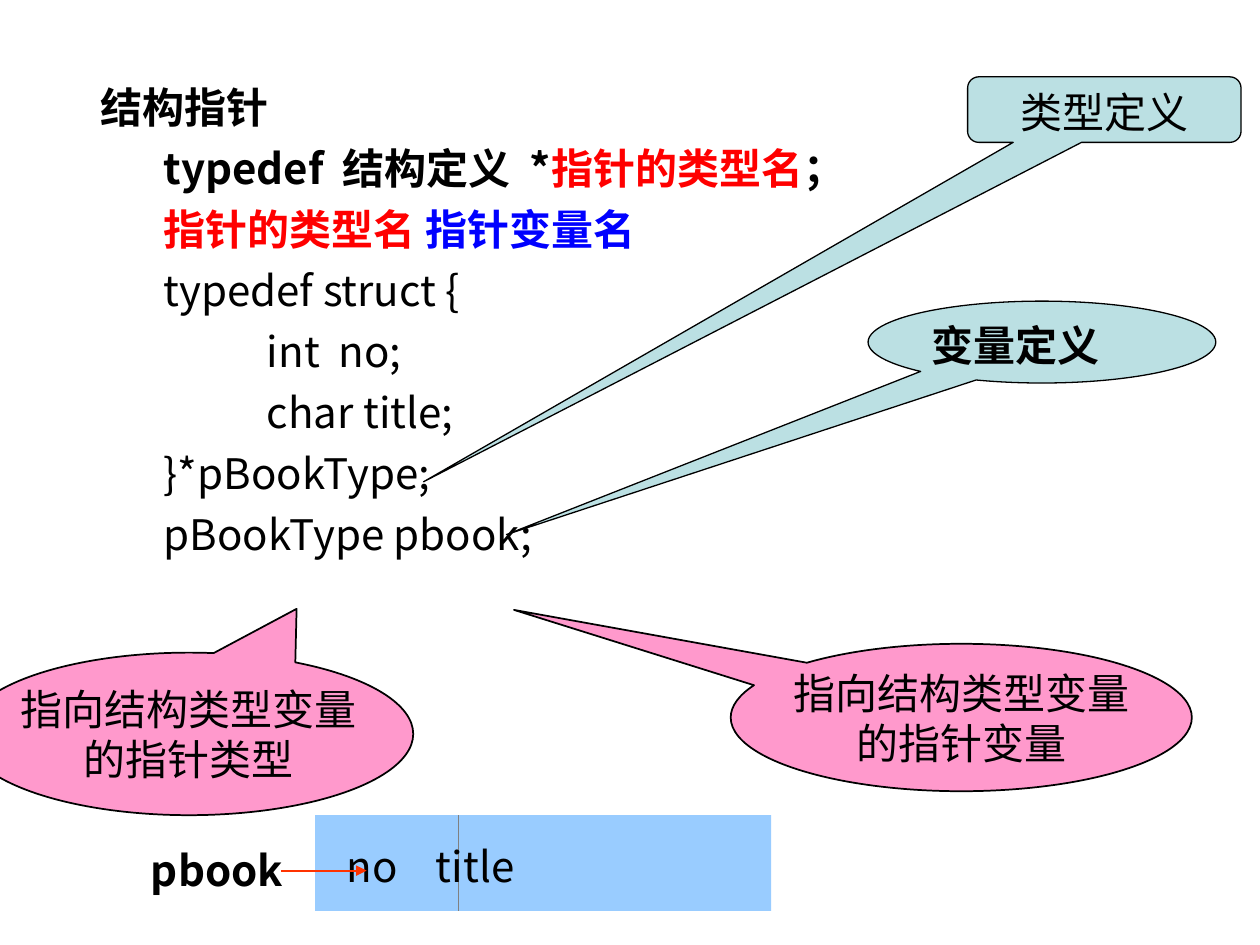
from lxml.etree import SubElement
from pptx import Presentation
from pptx.dml.color import RGBColor
from pptx.enum.shapes import MSO_CONNECTOR as CONN, MSO_SHAPE as SHAPE
from pptx.enum.text import MSO_ANCHOR as ANCHOR, PP_ALIGN as ALIGN
from pptx.oxml.ns import qn
from pptx.util import Inches, Pt

FONT = "Noto Sans CJK SC"
BLACK, RED, BLUE = "000000", "FF0000", "0000FF"
TEAL, PINK, SKY = "BBE0E3", "FF99CC", "99CCFF"

SYNTAX = [
    [("typedef  结构定义  *", BLACK), ("指针的类型名", RED), ("；", BLACK)],
    [("指针的类型名 ", RED), ("指针变量名", BLUE)],
]
CODE = [
    "typedef struct {",
    "           int  no;",
    "           char title;",
    "}*pBookType;",
    "pBookType pbook;",
]


def rgb(value):
    return RGBColor.from_string(value)


def add_run(p, text, color=BLACK, bold=False):
    r = p.add_run()
    r.text = text
    r.font.size = Pt(24)
    r.font.name = FONT
    r.font.bold = bold
    r.font.color.rgb = rgb(color)
    SubElement(r.font._element, qn("a:ea"), typeface=FONT)


def write(tf, paragraphs, bold=False, align=ALIGN.LEFT, wrap=True,
          anchor=ANCHOR.TOP):
    tf.word_wrap = wrap
    tf.vertical_anchor = anchor
    for i, text in enumerate(paragraphs):
        p = tf.paragraphs[0] if i == 0 else tf.add_paragraph()
        p.alignment = align
        add_run(p, text, bold=bold)


def add_textbox(slide, left, top, width, height):
    box = slide.shapes.add_textbox(
        Inches(left), Inches(top), Inches(width), Inches(height))
    box.text_frame.word_wrap = True
    return box.text_frame


def add_box(slide, kind, left, top, width, height, fill, line=None):
    sp = slide.shapes.add_shape(
        kind, Inches(left), Inches(top), Inches(width), Inches(height))
    sp.shadow.inherit = False
    sp.fill.solid()
    sp.fill.fore_color.rgb = rgb(fill)
    if line:
        sp.line.color.rgb = rgb(BLACK)
        sp.line.width = Pt(line)
    else:
        sp.line.fill.background()
    return sp


def add_callout(slide, kind, place, adjustments, fill, line, lines, **style):
    sp = add_box(slide, kind, *place, fill, line)
    for i, value in enumerate(adjustments):
        sp.adjustments[i] = value
    write(sp.text_frame, lines, **style)


def add_line(slide, x1, y1, x2, y2, color, arrow=False):
    cxn = slide.shapes.add_connector(
        CONN.STRAIGHT, Inches(x1), Inches(y1), Inches(x2), Inches(y2))
    cxn.line.color.rgb = rgb(color)
    cxn.line.width = Pt(1)
    if arrow:
        SubElement(cxn.line._get_or_add_ln(), qn("a:tailEnd"), type="triangle")
    SubElement(cxn._element.spPr, qn("a:effectLst"))


def add_body(slide):
    tf = add_textbox(slide, 0.7, 0.6, 8.92, 6.6)
    write(tf, ["结构指针"], bold=True)
    rows = [(runs, True) for runs in SYNTAX]
    rows += [([(text, BLACK)], False) for text in CODE]
    for runs, bold in rows:
        p = tf.add_paragraph()
        p.space_before = Pt(6)
        pPr = p._p.get_or_add_pPr()
        pPr.set("marL", str(Inches(0.48)))
        pPr.set("indent", str(Inches(0.02)))
        for text, color in runs:
            add_run(p, text, color, bold)


def add_memory_diagram(slide):
    left, top, width, height, divider = 2.5, 6.47, 3.62, 0.76, 3.64
    add_box(slide, SHAPE.RECTANGLE, left, top, width, height, SKY)
    add_line(slide, divider, top, divider, top + height, "808080")
    tf = add_textbox(slide, 2.52, 6.62, 3.55, 0.5)
    tf.margin_left = Inches(0.23)
    pPr = tf.paragraphs[0]._p.get_or_add_pPr()
    tabs = SubElement(pPr, qn("a:tabLst"))
    SubElement(tabs, qn("a:tab"), pos=str(Inches(0.71)), algn="l")
    write(tf, ["no\ttitle"])
    write(add_textbox(slide, 1.1, 6.65, 1.37, 0.5), ["pbook"], bold=True)
    add_line(slide, 2.23, 6.91, 2.91, 6.91, "FF3300", arrow=True)


def main():
    prs = Presentation()
    prs.slide_width, prs.slide_height = Inches(10), Inches(7.5)
    slide = prs.slides.add_slide(prs.slide_layouts[6])
    add_body(slide)
    add_callout(slide, SHAPE.ROUNDED_RECTANGULAR_CALLOUT,
                (7.68, 0.61, 2.17, 0.52), (-2.49, 5.68, 0.17),
                TEAL, 0.75, ["类型定义"], align=ALIGN.CENTER)
    add_callout(slide, SHAPE.OVAL_CALLOUT,
                (6.89, 2.39, 2.76, 0.65), (-1.54, 2.35),
                TEAL, 0.75, ["变量定义"], bold=True)
    pointer_notes = [
        ((-0.28, 5.18, 3.56, 1.29), (0.24, -0.77), "的指针类型"),
        ((5.8, 5.11, 3.66, 1.17), (-0.97, -0.73), "的指针变量"),
    ]
    for place, adjustments, ending in pointer_notes:
        add_callout(slide, SHAPE.OVAL_CALLOUT, place, adjustments, PINK, 1,
                    ["指向结构类型变量", ending], align=ALIGN.CENTER,
                    wrap=False, anchor=ANCHOR.MIDDLE)
    add_memory_diagram(slide)
    prs.save("out.pptx")


if __name__ == "__main__":
    main()
